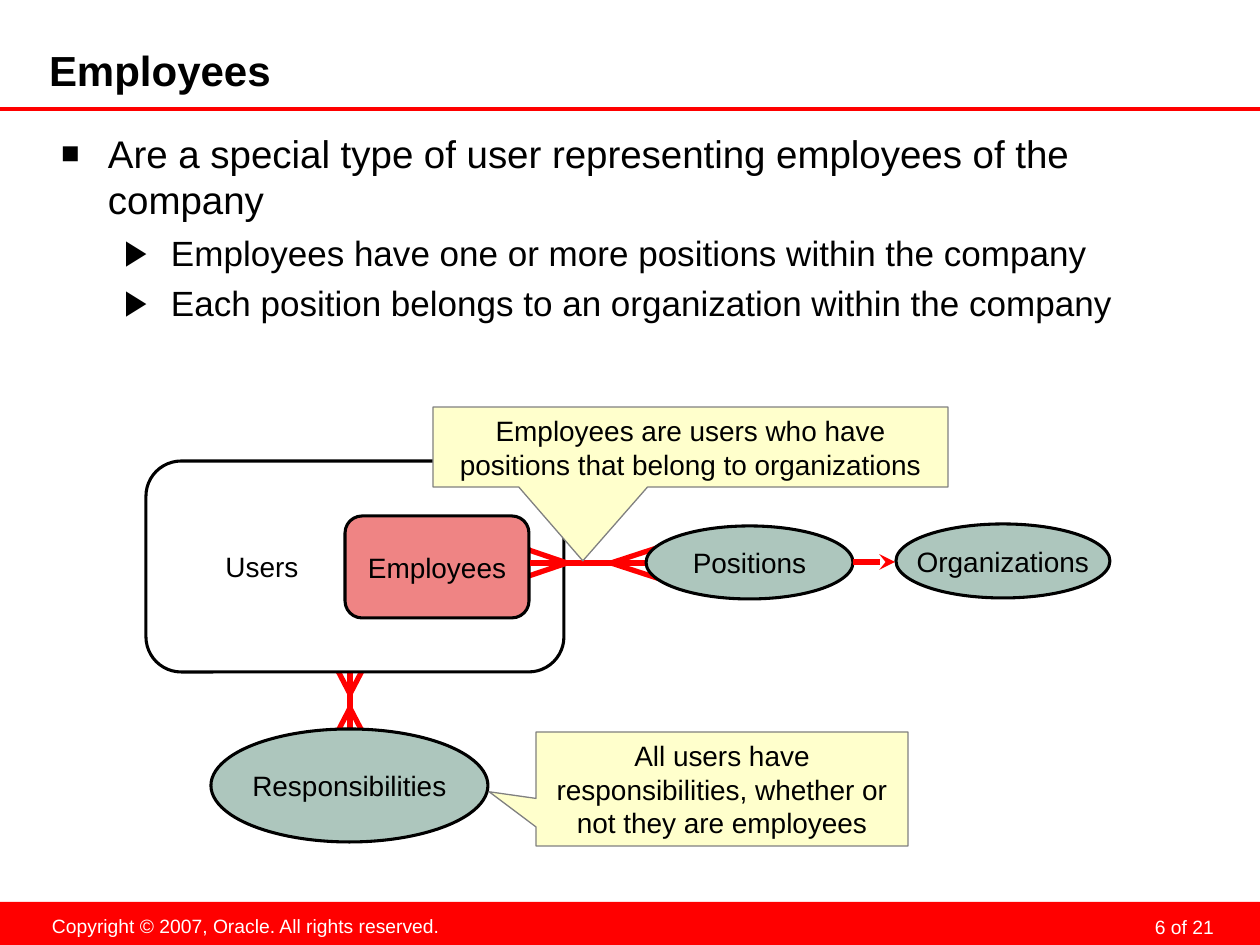
import lxml.etree
import pptx
import pptx.dml.color
import pptx.enum.shapes
import pptx.enum.text
import pptx.oxml
import pptx.oxml.ns
import pptx.util

PX = 914400 / 126
COLORS = {"red": "FF0000", "black": "000000", "white": "FFFFFF", "pink": "EF8484",
          "green": "ADC6BD", "yellow": "FFFFCC", "gray": "808080"}
SHAPE = pptx.enum.shapes.MSO_SHAPE
ALIGN = pptx.enum.text.PP_ALIGN
MIDDLE = pptx.enum.text.MSO_ANCHOR.MIDDLE
qn = pptx.oxml.ns.qn


def px(*values):
    return [round(v * PX) for v in values]


def write(tf, text, size=16, color="black", bold=False, align=ALIGN.CENTER,
          anchor=MIDDLE, margins=(13, 6, 13, 6), wrap=True, level=0, before=0,
          bullet=None, bullet_size=100, indent=47, hang=47):
    """Fill the frame's empty first paragraph, or append a new one."""
    tf.word_wrap = wrap
    tf.auto_size = pptx.enum.text.MSO_AUTO_SIZE.NONE
    tf.vertical_anchor = anchor
    tf.margin_left, tf.margin_top, tf.margin_right, tf.margin_bottom = px(*margins)
    p = tf.add_paragraph() if tf.text else tf.paragraphs[0]
    p.level = level
    if bullet:
        pPr = p._p.get_or_add_pPr()
        pPr.set("marL", str(px(indent)[0]))
        pPr.set("indent", str(px(-hang)[0]))
        clr = lxml.etree.SubElement(pPr, qn("a:buClr"))
        lxml.etree.SubElement(clr, qn("a:srgbClr"), val=COLORS["black"])
        lxml.etree.SubElement(pPr, qn("a:buSzPct"), val=str(bullet_size * 1000))
        lxml.etree.SubElement(pPr, qn("a:buFont"), typeface="Arial")
        lxml.etree.SubElement(pPr, qn("a:buChar"), char=bullet)
    p.alignment = align
    p.space_before = pptx.util.Pt(before)
    r = p.add_run()
    r.text = text
    r.font.name = "Arial"
    r.font.size = pptx.util.Pt(size)
    r.font.bold = bold
    r.font.color.rgb = pptx.dml.color.RGBColor.from_string(COLORS[color])


prs = pptx.Presentation()
prs.slide_width, prs.slide_height = px(1260, 945)
s = prs.slides.add_slide(prs.slide_layouts[1])

# Title and bullet list
title, body = s.shapes.title, s.placeholders[1]
title.left, title.top, title.width, title.height = px(49, 48, 992, 50)
write(title.text_frame, "Employees", size=24, bold=True, align=ALIGN.LEFT,
      margins=(0, 0, 6, 6))

body.left, body.top, body.width, body.height = px(48, 117, 1172, 779)
body_format = dict(align=ALIGN.LEFT, anchor=pptx.enum.text.MSO_ANCHOR.TOP,
                   margins=(13, 13, 13, 6))
write(body.text_frame, "Are a special type of user representing employees of the company",
      size=22, bullet="■", bullet_size=80, **body_format)
for text in ("Employees have one or more positions within the company",
             "Each position belongs to an organization within the company"):
    write(body.text_frame, text, size=20, level=1, before=5, bullet="▶",
          indent=110, **body_format)

# Footer
bar = s.shapes.add_shape(SHAPE.RECTANGLE, *px(0, 902, 1260, 43))
bar.shadow.inherit = False
bar.fill.solid()
bar.fill.fore_color.rgb = pptx.dml.color.RGBColor.from_string(COLORS["red"])
bar.line.fill.background()
for text, box, align in (
        ("Copyright © 2007, Oracle. All rights reserved.", (39, 907, 460, 37), ALIGN.LEFT),
        ("6 of 21", (927, 908, 300, 37), ALIGN.RIGHT)):
    tb = s.shapes.add_textbox(*px(*box))
    write(tb.text_frame, text, size=11, color="white", align=align, margins=(13, 0, 13, 0))

# Diagram, from back to front: lines have no text, shapes carry their label
LINE, ROUND, OVAL, CALLOUT = ("line", SHAPE.ROUNDED_RECTANGLE, SHAPE.OVAL,
                              SHAPE.RECTANGULAR_CALLOUT)
diagram = [
    (LINE, (0, 109, 1260, 109), 1.75),
    # Users to Responsibilities
    (LINE, (350, 670, 350, 730), 3),
    *[(LINE, (350, tip, 350 + dx, foot), 3)
      for tip, foot in ((694, 669), (708, 733)) for dx in (-13, 13)],
    (ROUND, (146, 461, 418, 211), "Users", "white", [0.167]),
    # Employees to Positions
    *[(LINE, (tip, 563, foot, 563 + dy), 3)
      for tip, foot in ((567, 520), (611, 660)) for dy in (-16, 16)],
    (ROUND, (345, 516, 184, 102), "Employees", "pink", [0.167]),
    (LINE, (530, 563, 645, 563), 3),
    (CALLOUT, (433, 407, 515, 80),
     "Employees are users who have positions that belong to organizations",
     "yellow", [-0.209, 1.423]),
    (OVAL, (211, 729, 277, 113), "Responsibilities", "green", []),
    (CALLOUT, (536, 732, 372, 114),
     "All users have responsibilities, whether or not they are employees",
     "yellow", [-0.626, 0.025]),
    (OVAL, (896, 524, 214, 74), "Organizations", "green", []),
    (OVAL, (646, 526, 207, 73), "Positions", "green", []),
    (LINE, (853, 562, 895, 562), 3, "stealth"),
]
for kind, box, *details in diagram:
    if kind == LINE:
        width, *arrow = details
        c = s.shapes.add_connector(pptx.enum.shapes.MSO_CONNECTOR.STRAIGHT, *px(*box))
        c.line.width = pptx.util.Pt(width)
        c.line.color.rgb = pptx.dml.color.RGBColor.from_string(COLORS["red"])
        for head in arrow:
            lxml.etree.SubElement(c.line._get_or_add_ln(), qn("a:tailEnd"), type=head)
        lxml.etree.SubElement(c._element.spPr, qn("a:effectLst"))
        continue
    text, fill, adjustments = details
    sp = s.shapes.add_shape(kind, *px(*box))
    sp.shadow.inherit = False
    for i, value in enumerate(adjustments):
        sp.adjustments[i] = value
    sp.fill.solid()
    sp.fill.fore_color.rgb = pptx.dml.color.RGBColor.from_string(COLORS[fill])
    sp.line.color.rgb = pptx.dml.color.RGBColor.from_string(
        COLORS["gray" if kind == CALLOUT else "black"])
    sp.line.width = pptx.util.Pt(0.75 if kind == CALLOUT else 1.75)
    # Users leaves room for the inner box; oval labels stay on one line
    right = 199 if text == "Users" else 13
    write(sp.text_frame, text, margins=(13, 6, right, 6), wrap=kind != OVAL)

prs.save("out.pptx")
